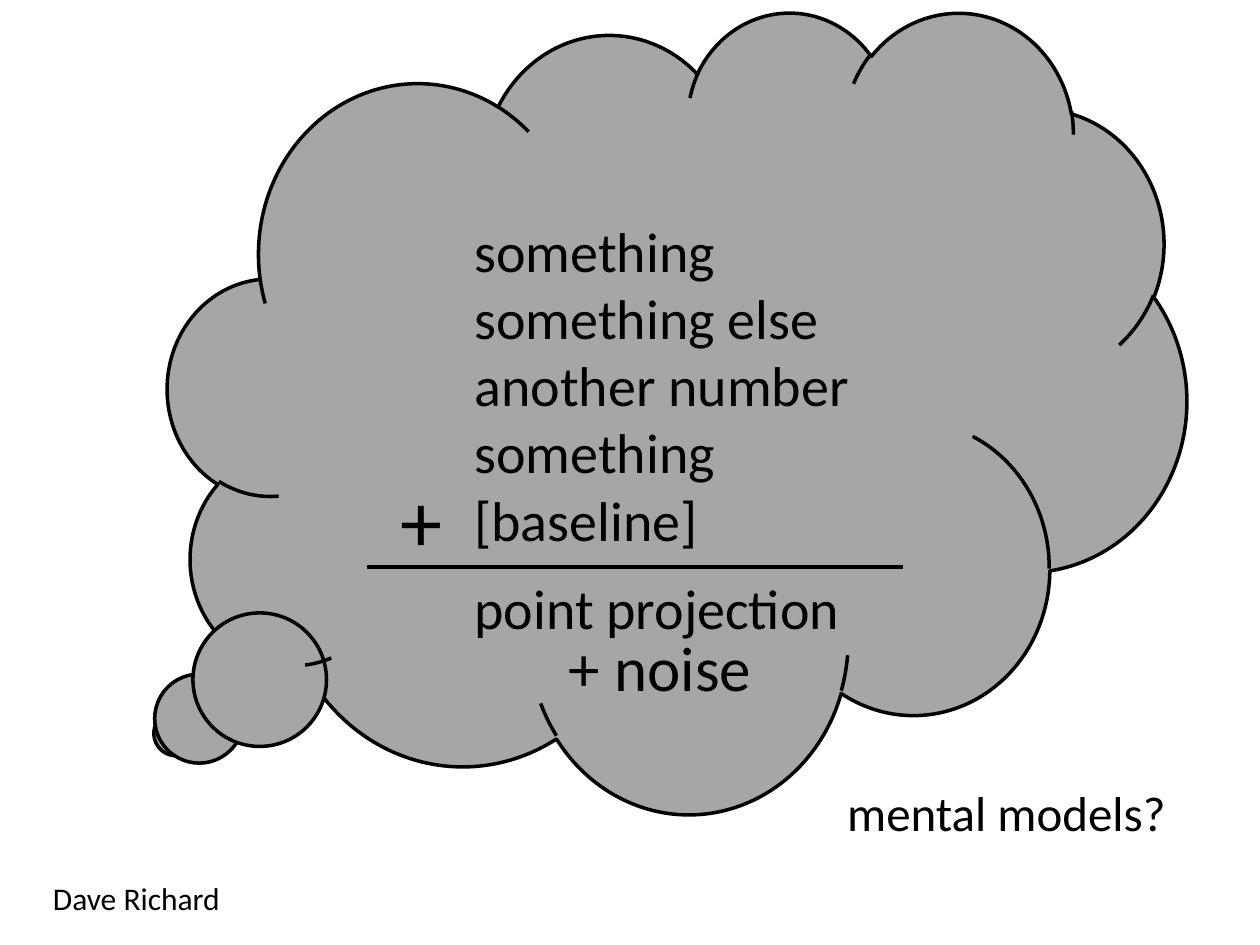
"""Build the mental models slide: a thought cloud holding a sum with noise."""
import dataclasses

import lxml.etree
import pptx
import pptx.dml.color
import pptx.enum.shapes
import pptx.enum.text
import pptx.oxml.ns
import pptx.util

Pt = pptx.util.Pt
Align = pptx.enum.text.PP_ALIGN


@dataclasses.dataclass(frozen=True)
class Theme:
    font: str = "Calibri"
    ink: str = "000000"
    cloud: str = "A6A6A6"
    name: float = 18
    label: float = 28
    body: float = 32
    noise: float = 36
    plus: float = 48
    edge: float = 2
    rule: float = 2.25


class Slide:
    def __init__(self, theme, slide):
        self.theme = theme
        self.shapes = slide.shapes

    def color(self, value):
        return pptx.dml.color.RGBColor.from_string(value)

    def stroke(self, line, width):
        line.color.rgb = self.color(self.theme.ink)
        line.width = Pt(width)

    def cloud(self, left, top, width, height, tail):
        kind = pptx.enum.shapes.MSO_SHAPE.CLOUD_CALLOUT
        shape = self.shapes.add_shape(kind, Pt(left), Pt(top), Pt(width), Pt(height))
        shape.adjustments[0], shape.adjustments[1] = tail
        shape.shadow.inherit = False
        shape.fill.solid()
        shape.fill.fore_color.rgb = self.color(self.theme.cloud)
        self.stroke(shape.line, self.theme.edge)

    def text(self, words, size, left, top, width, height, align=Align.LEFT):
        box = self.shapes.add_textbox(Pt(left), Pt(top), Pt(width), Pt(height))
        box.text_frame.word_wrap = True
        para = box.text_frame.paragraphs[0]
        para.text = words
        para.alignment = align
        para.font.name = self.theme.font
        para.font.size = Pt(size)
        para.font.color.rgb = self.color(self.theme.ink)

    def rule(self, left, right, top):
        kind = pptx.enum.shapes.MSO_CONNECTOR.STRAIGHT
        line = self.shapes.add_connector(kind, Pt(left), Pt(top), Pt(right), Pt(top))
        self.stroke(line.line, self.theme.rule)
        lxml.etree.SubElement(line.element.spPr, pptx.oxml.ns.qn("a:effectLst"))


def main():
    deck = pptx.Presentation()
    deck.slide_width, deck.slide_height = Pt(720), Pt(540)
    theme = Theme()
    slide = Slide(theme, deck.slides.add_slide(deck.slide_layouts[6]))
    terms = ["something", "something else", "another number", "something", "[baseline]"]
    left, width, total = 264, 420, 324

    slide.cloud(96, 6, 582, 458, (-0.492, 0.402))
    slide.text("Dave Richard", theme.name, 6, 499, 144, 29, Align.CENTER)
    slide.text("mental models?", theme.label, 370, 443.5, 303, 41, Align.RIGHT)
    slide.text("\n".join(terms), theme.body, left, 120, width, 210)
    slide.rule(210, 516, total)
    slide.text("+", theme.plus, 222, 264, 72, 65.5)
    slide.text("point projection", theme.body, left, total, width, 168)
    slide.text("+ noise", theme.noise, 318, 355.5, 168, 51)
    deck.save("out.pptx")


if __name__ == "__main__":
    main()
